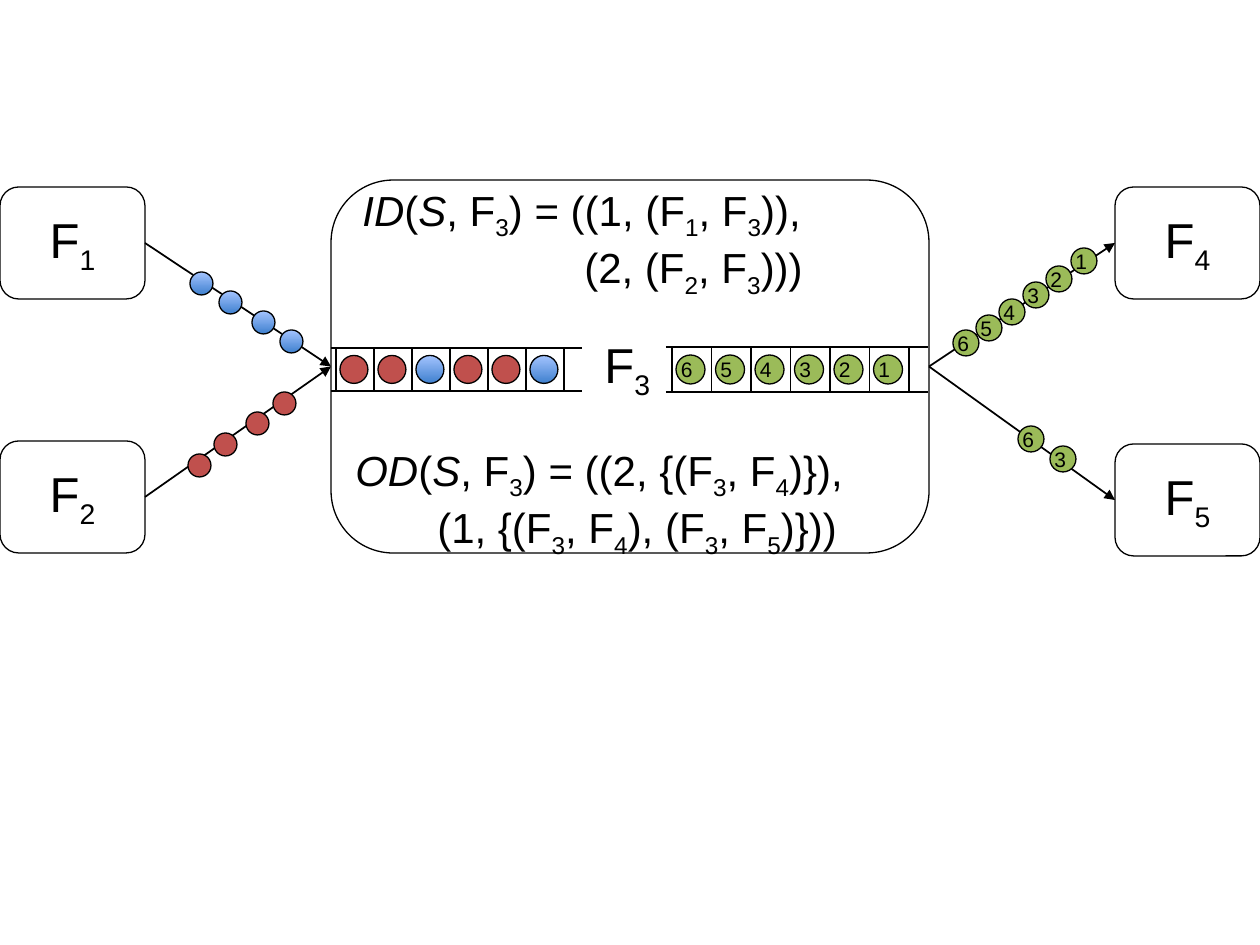
from lxml import etree
from pptx import Presentation
from pptx.dml.color import RGBColor
from pptx.enum.shapes import MSO_CONNECTOR, MSO_SHAPE
from pptx.enum.text import MSO_ANCHOR, PP_ALIGN
from pptx.oxml.ns import qn
from pptx.util import Emu, Pt

ROUNDED, OVAL = MSO_SHAPE.ROUNDED_RECTANGLE, MSO_SHAPE.OVAL
STRAIGHT = MSO_CONNECTOR.STRAIGHT
MIDDLE = MSO_ANCHOR.MIDDLE
CENTER, RIGHT, LEFT = PP_ALIGN.CENTER, PP_ALIGN.RIGHT, PP_ALIGN.LEFT

BLACK, RED, GREEN = "000000", "C0504D", "9BBB59"
BLUE = ("3F80CE", "A4C4FF")
LEFT_SIDE, RIGHT_SIDE = 1, 3

# Within a line, "|" parts the runs, "/" marks italic and "_" subscript.
FILTERS = {
    "F|_1": (0, 187, 145, 112),
    "F|_2": (0, 441, 145, 112),
    "F|_4": (1115, 187, 145, 112),
    "F|_5": (1115, 444, 145, 112),
    "F|_3": (331, 180, 598, 373),
}
CHANNELS = [("F|_1", "F|_3"), ("F|_2", "F|_3"), ("F|_3", "F|_4"), ("F|_3", "F|_5")]
QUEUES = [
    dict(left=331, right=582, top=348, bottom=391, first=336, step=38,
         ball=28, inset=4, items=[(RED, ""), (RED, ""), (BLUE, "")] * 2),
    dict(left=666, right=928, top=347, bottom=392, first=672, step=39.5,
         ball=29, inset=4, items=[(GREEN, n) for n in "654321"]),
]
TRAVELLING = [
    (BLUE, 23, [(190, 272, ""), (219, 291, ""), (252, 311, ""), (280, 330, "")]),
    (RED, 23, [(273, 392, ""), (246, 412, ""), (214, 433, ""), (188, 454, "")]),
    (GREEN, 26, [(1071, 248, "1"), (1046, 266, "2"), (1023, 282, "3"),
                 (999, 299, "4"), (976, 315, "5"), (953, 330, "6"),
                 (1050, 446, "3"), (1018, 426, "6")]),
]
FORMULAS = [
    ((350, 178, 478, 165), 24, [
        ("/ID|(|/S|, F|_3|) = ((1, (F|_1|, F|_3|)),", 0),
        ("(2, (F|_2|, F|_3|)))", 222)]),
    ((343, 438, 528, 165), 24, [
        ("/OD|(|/S|, F|_3|) = ((2, {(F|_3|, F|_4|)}),", 0),
        ("(1, {(F|_3|, F|_4|), (F|_3|, F|_5|)}))", 82)]),
    ((592, 328, 74, 72), 28, [("F|_3", 0)]),
]


def px(value):
    return Emu(round(value * 914400 / 126))


def color(code):
    return RGBColor.from_string(code)


def write(frame, lines, size, align):
    frame.word_wrap = False
    for index, (line, indent) in enumerate(lines):
        paragraph = frame.add_paragraph() if index else frame.paragraphs[0]
        paragraph.alignment = align
        paragraph.font.size = Pt(size)
        paragraph.font.name = "Arial"
        paragraph.font.color.rgb = color(BLACK)
        if indent:
            paragraph._p.get_or_add_pPr().set("marL", str(px(indent)))
        for part in line.split("|"):
            run = paragraph.add_run()
            run.text = part.lstrip("/_")
            if part.startswith("/"):
                run.font.italic = True
            if part.startswith("_"):
                run.font._element.set("baseline", "-25000")


def add_outlined(shapes, kind, box):
    shape = shapes.add_shape(kind, *map(px, box))
    shape.shadow.inherit = False
    shape.line.color.rgb = color(BLACK)
    shape.line.width = Pt(0.75)
    shape.text_frame.vertical_anchor = MIDDLE
    return shape


def add_ball(shapes, x, y, diameter, paint, label):
    ball = add_outlined(shapes, OVAL, (x, y, diameter, diameter))
    if paint == BLUE:
        ball.fill.gradient()
        ball.fill.gradient_angle = 90
        for stop, code in zip(ball.fill.gradient_stops, paint):
            stop.color.rgb = color(code)
    else:
        ball.fill.solid()
        ball.fill.fore_color.rgb = color(paint)
    if label:
        write(ball.text_frame, [(label, 0)], 12, RIGHT)


def add_line(shapes, x1, y1, x2, y2, width=0.75):
    line = shapes.add_connector(STRAIGHT, px(x1), px(y1), px(x2), px(y2))
    line.line.color.rgb = color(BLACK)
    line.line.width = Pt(width)
    etree.SubElement(line._element.spPr, qn("a:effectLst"))
    return line


def add_queue(shapes, left, right, top, bottom, first, step, ball, inset, items):
    group = shapes.add_group_shape().shapes
    for y in (top, bottom):
        add_line(group, left, y, right, y)
    for index in range(len(items) + 1):
        x = first + index * step
        add_line(group, x, top, x, bottom)
    for index, (paint, label) in enumerate(items):
        add_ball(group, first + inset + index * step, (top + bottom - ball) / 2,
                 ball, paint, label)


def main():
    deck = Presentation()
    deck.slide_width, deck.slide_height = px(1260), px(945)
    shapes = deck.slides.add_slide(deck.slide_layouts[6]).shapes

    filters = {}
    for name, box in FILTERS.items():
        filters[name] = add_outlined(shapes, ROUNDED, box)
        filters[name].fill.background()
        if name != "F|_3":
            write(filters[name].text_frame, [(name, 0)], 28, CENTER)

    for source, target in CHANNELS:
        channel = add_line(shapes, 0, 0, 0, 0, 1)
        channel.begin_connect(filters[source], RIGHT_SIDE)
        channel.end_connect(filters[target], LEFT_SIDE)
        etree.SubElement(channel.line._get_or_add_ln(), qn("a:tailEnd"), type="triangle")

    for queue in QUEUES:
        add_queue(shapes, **queue)
    for paint, diameter, balls in TRAVELLING:
        for x, y, label in balls:
            add_ball(shapes, x, y, diameter, paint, label)
    for box, size, lines in FORMULAS:
        write(shapes.add_textbox(*map(px, box)).text_frame, lines, size, LEFT)

    deck.save("out.pptx")


if __name__ == "__main__":
    main()
